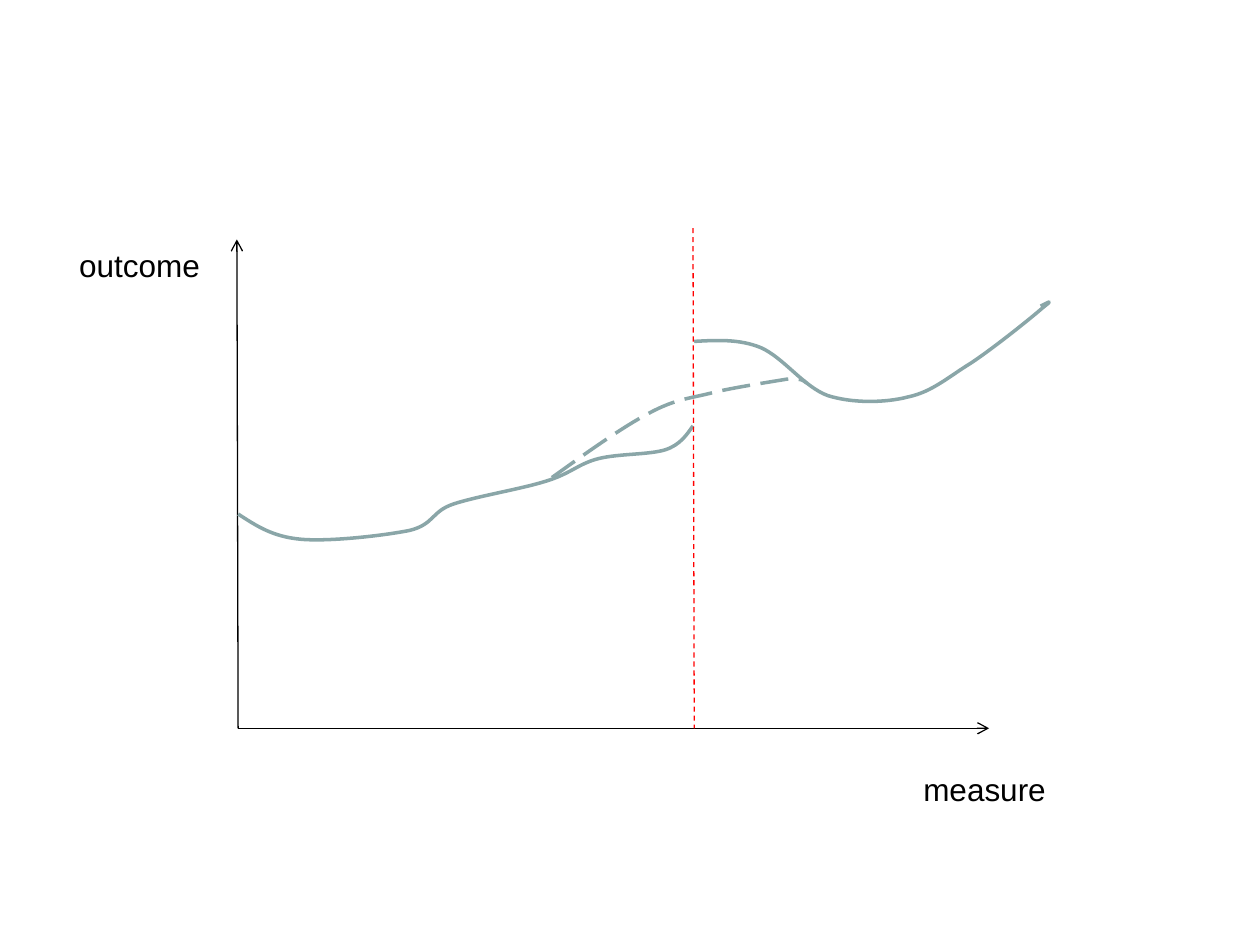
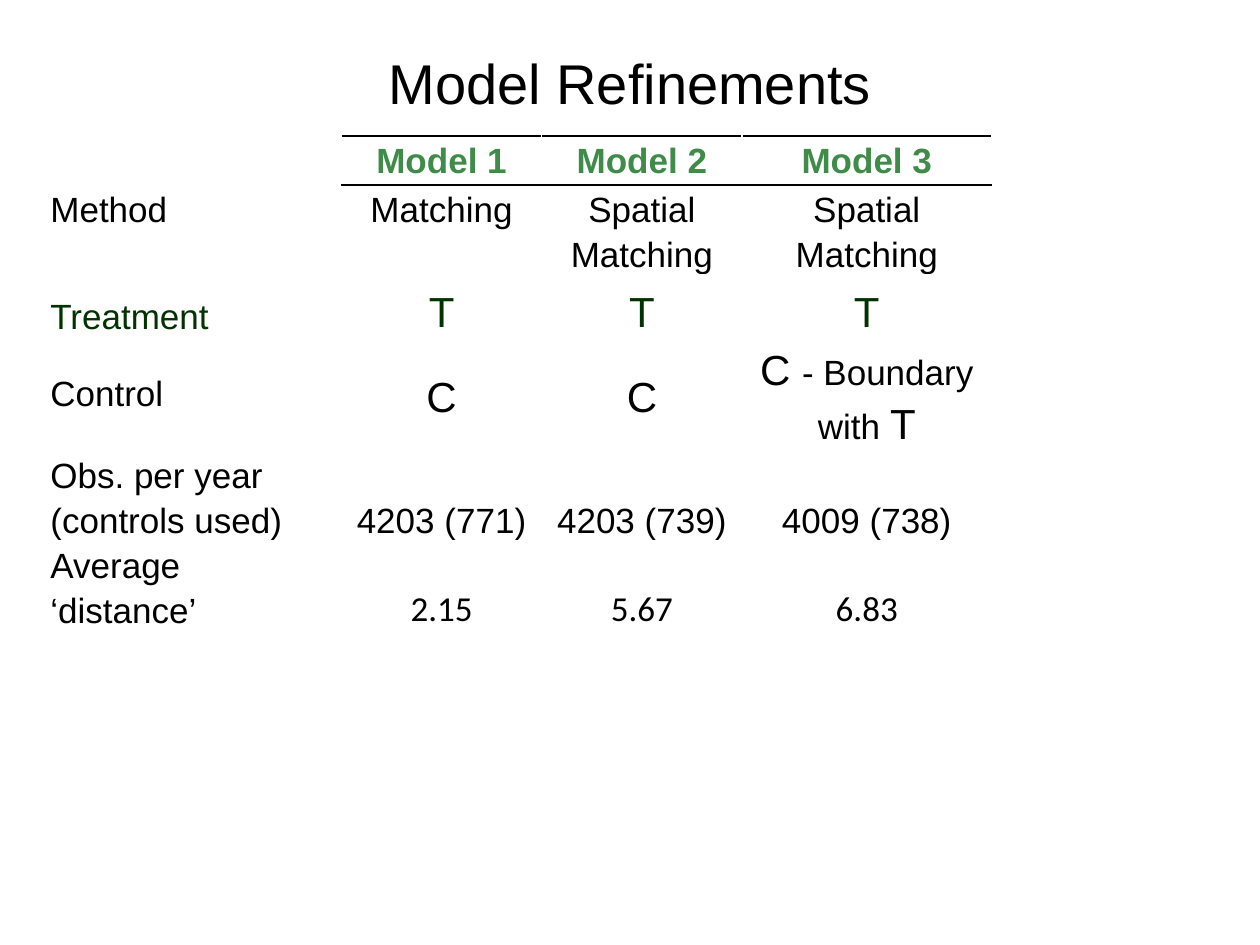
from lxml import etree
from pptx import Presentation
from pptx.dml.color import RGBColor
from pptx.enum.dml import MSO_LINE
from pptx.enum.shapes import MSO_CONNECTOR
from pptx.enum.text import MSO_ANCHOR, PP_ALIGN
from pptx.oxml.ns import qn
from pptx.util import Pt

PX = 9144
BLACK = RGBColor(0x00, 0x00, 0x00)
RED = RGBColor(0xFF, 0x00, 0x00)
CURVE_TEAL = RGBColor(0x8A, 0xA6, 0xA8)
HEADER_GREEN = RGBColor(0x3F, 0x8B, 0x48)
TREATMENT_GREEN = RGBColor(0x00, 0x33, 0x00)
STRAIGHT = MSO_CONNECTOR.STRAIGHT
DASH, LONG_DASH = MSO_LINE.DASH, MSO_LINE.LONG_DASH
LEFT, CENTER = PP_ALIGN.LEFT, PP_ALIGN.CENTER
TOP, MIDDLE, BOTTOM = MSO_ANCHOR.TOP, MSO_ANCHOR.MIDDLE, MSO_ANCHOR.BOTTOM

COLUMN_WIDTHS = (238, 159, 159, 198)
ROW_HEIGHTS = (39, 71, 49, 91, 71, 71)
MODEL_ROWS = (
    ("", "Model 1", "Model 2", "Model 3"),
    ("Method", "Matching", "Spatial Matching", "Spatial Matching"),
    ("Treatment", "T", "T", "T"),
    ("Control", "C", "C", (("C ", 24), ("- Boundary with ", 20), ("T", 24))),
    ("Obs. per year (controls used)", "4203 (771)", "4203 (739)", "4009 (738)"),
    ("Average ‘distance’", "2.15", "5.67", "6.83"),
)
ROW_ANCHORS = (TOP, TOP, BOTTOM, MIDDLE, BOTTOM, BOTTOM)
HEADER, METHOD, TREATMENT, CONTROL, OBSERVATIONS, DISTANCE = range(6)

BELOW_CUTOFF = (
    (189, 408), (203, 417), (216, 426), (239, 428), (262, 430), (305, 425),
    (325, 421), (345, 416), (342, 406), (360, 400), (378, 394), (414, 388),
    (433, 382), (453, 376), (459, 368), (475, 364), (491, 360), (515, 361),
    (528, 357), (540, 353), (545, 345), (550, 338),
)
ABOVE_CUTOFF = (
    (551, 271), (569, 270), (587, 269), (604, 276), (622, 284), (638, 307),
    (657, 314), (676, 320), (702, 320), (721, 315), (740, 311), (753, 299),
    (771, 288), (789, 276), (819, 252), (828, 244), (837, 237), (832, 240),
    (826, 243),
)
COUNTERFACTUAL = (
    (438, 379), (466, 359), (494, 339), (515, 328), (537, 316), (550, 316),
    (568, 311), (586, 307), (612, 303), (624, 301), (636, 300), (638, 302),
    (640, 304),
)


def px(*lengths):
    return [length * PX for length in lengths]


def write(frame, text, size=20, font="Arial", color=BLACK, bold=False,
          align=LEFT, spacing=None, after=None):
    paragraph = frame.paragraphs[0]
    paragraph.alignment = align
    if spacing:
        paragraph.line_spacing = spacing
    if after:
        paragraph.space_after = Pt(after)
    pieces = ((text, size),) if isinstance(text, str) else text
    for words, points in pieces:
        run = paragraph.add_run()
        run.text = words
        run.font.size = Pt(points)
        run.font.name = font
        run.font.bold = bold
        run.font.color.rgb = color


def style_line(line, color, width, dash=None):
    line.color.rgb = color
    line.width = Pt(width)
    if dash:
        line.dash_style = dash


def add_line(slide, start, end, color, dash=None, arrow=False):
    connector = slide.shapes.add_connector(STRAIGHT, *px(*start, *end))
    style_line(connector.line, color, 0.75, dash)
    properties = connector._element.spPr
    if arrow:
        etree.SubElement(properties.find(qn("a:ln")), qn("a:tailEnd"), type="arrow")
    etree.SubElement(properties, qn("a:effectLst"))


def add_curve(slide, points, dash=None):
    builder = slide.shapes.build_freeform(*points[0], scale=PX)
    builder.add_line_segments(points[1:], close=False)
    curve = builder.convert_to_shape()
    curve.shadow.inherit = False
    curve.fill.background()
    style_line(curve.line, CURVE_TEAL, 2, dash)
    outline = next(curve._element.iter(qn("a:path")))
    segments = outline.findall(qn("a:lnTo"))
    for first in range(0, len(segments), 3):
        bezier = etree.SubElement(outline, qn("a:cubicBezTo"))
        for segment in segments[first:first + 3]:
            bezier.append(segment[0])
            outline.remove(segment)


def add_label(slide, text, left, top):
    label = slide.shapes.add_textbox(*px(left, top, 124, 40))
    label.text_frame.word_wrap = True
    write(label.text_frame, text, size=18)


def set_title(slide, text):
    title = slide.shapes.title
    title.left, title.top, title.width, title.height = px(50, 30, 900, 70)
    title.text_frame.vertical_anchor = MIDDLE
    write(title.text_frame, text, size=32, align=CENTER)


def add_border(cell, side):
    border = etree.Element(qn(f"a:{side}"), w=str(Pt(1)))
    fill = etree.SubElement(border, qn("a:solidFill"))
    etree.SubElement(fill, qn("a:srgbClr"), val=str(BLACK))
    cell._tc.get_or_add_tcPr().insert(0, border)


def cell_format(row, column):
    look = {"align": CENTER if column else LEFT, "spacing": 1.15, "after": 10}
    if row == HEADER:
        look.update(color=HEADER_GREEN, bold=True)
    if row == TREATMENT:
        look["color"] = TREATMENT_GREEN
    if column and row in (TREATMENT, CONTROL):
        look["size"] = 24
    if column and row == DISTANCE:
        look["font"] = "Calibri"
    if not column and row == CONTROL:
        look["spacing"] = None
    return look


def add_model_table(slide):
    table = slide.shapes.add_table(
        len(ROW_HEIGHTS), len(COLUMN_WIDTHS),
        *px(33, 108, sum(COLUMN_WIDTHS), sum(ROW_HEIGHTS))).table
    table.first_row = table.horz_banding = False
    for column, width in zip(table.columns, px(*COLUMN_WIDTHS)):
        column.width = width
    for row, height in zip(table.rows, px(*ROW_HEIGHTS)):
        row.height = height
    for row, texts in enumerate(MODEL_ROWS):
        for column, text in enumerate(texts):
            cell = table.cell(row, column)
            cell.fill.background()
            cell.margin_left = cell.margin_right = 7 * PX
            cell.margin_top = cell.margin_bottom = 0
            cell.vertical_anchor = ROW_ANCHORS[row]
            if text:
                write(cell.text_frame, text, **cell_format(row, column))
            if column and row == HEADER:
                add_border(cell, "lnB")
            if column and row in (HEADER, METHOD):
                add_border(cell, "lnT")


def build_discontinuity_slide(deck):
    slide = deck.slides.add_slide(deck.slide_layouts[6])
    origin = (189, 578)
    add_line(slide, origin, (188, 190), BLACK, arrow=True)
    add_line(slide, origin, (785, 578), BLACK, arrow=True)
    add_curve(slide, BELOW_CUTOFF)
    add_curve(slide, ABOVE_CUTOFF)
    add_line(slide, (550, 181), (551, 578), RED, dash=DASH)
    add_curve(slide, COUNTERFACTUAL, dash=LONG_DASH)
    add_label(slide, "outcome", 53, 190)
    add_label(slide, "measure", 723, 606)


def build_refinements_slide(deck):
    slide = deck.slides.add_slide(deck.slide_layouts[5])
    add_model_table(slide)
    set_title(slide, "Model Refinements")


def main():
    deck = Presentation()
    deck.slide_width, deck.slide_height = px(1000, 750)
    build_discontinuity_slide(deck)
    build_refinements_slide(deck)
    deck.save("out.pptx")


if __name__ == "__main__":
    main()
